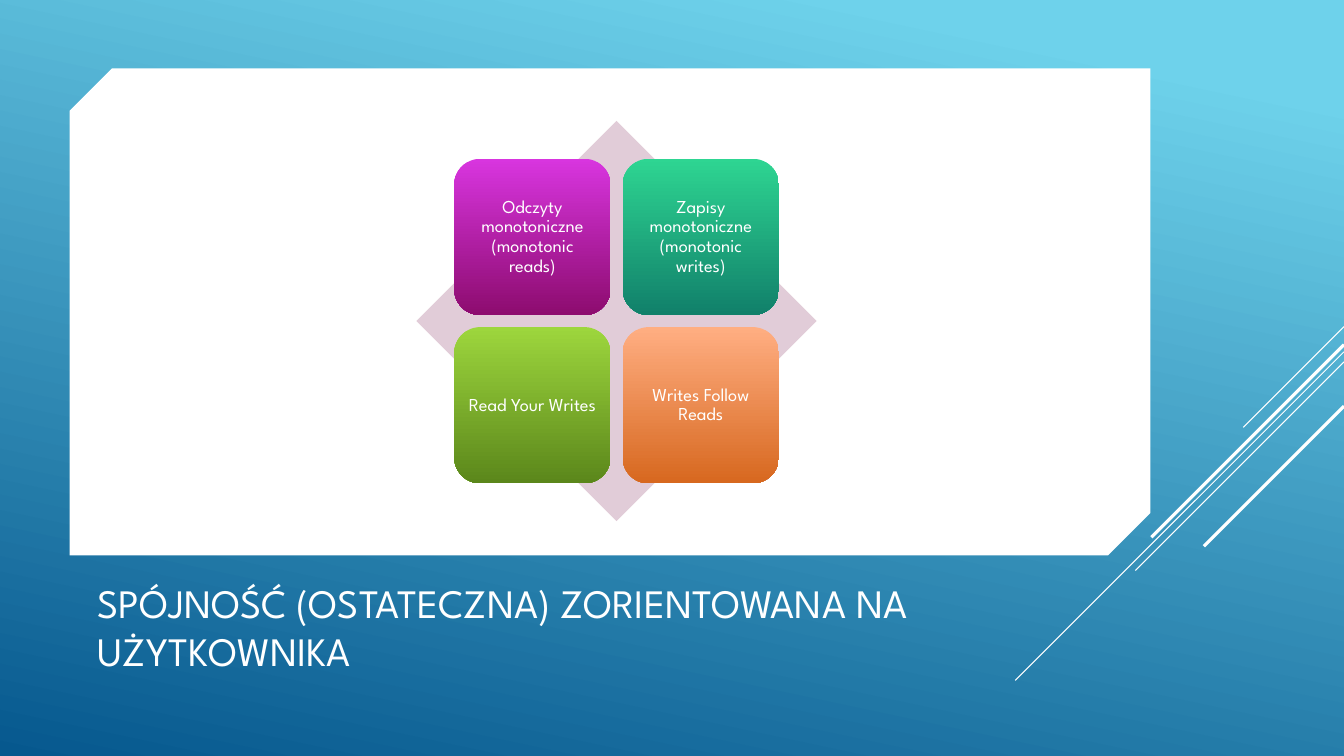
from lxml.etree import SubElement
from pptx import Presentation
from pptx.dml.color import RGBColor
from pptx.enum.shapes import MSO_CONNECTOR, MSO_SHAPE
from pptx.enum.text import MSO_ANCHOR, PP_ALIGN
from pptx.oxml.ns import qn
from pptx.util import Inches, Pt

WIDE, HIGH = 13.33, 7.5
FONT = "League Spartan"
WHITE = "FFFFFF"

# Tiles in reading order: text, top colour, bottom colour
TILES = [
    ("Odczyty monotoniczne (monotonic reads)", "D835DF", "8D0C6F"),
    ("Zapisy monotoniczne (monotonic writes)", "2ED592", "11806A"),
    ("Read Your Writes", "9DD63D", "5B871B"),
    ("Writes Follow Reads", "FFAE82", "D7681F"),
]
# Diagonal streaks: start height on the right edge, run, weight
STREAKS = [(3.24, 1, 0.75), (3.49, 3.26, 0.75), (3.59, 2.07, 0.75),
           (3.42, 1.91, 2.25), (4.03, 1.39, 2.25)]


def color(code):
    return RGBColor.from_string(code)


def add_form(slide, kind, box, fill=None):
    form = slide.shapes.add_shape(kind, *map(Inches, box))
    form.shadow.inherit = False
    form.line.fill.background()
    if fill:
        form.fill.solid()
        form.fill.fore_color.rgb = color(fill)
    return form


def shade(form, first, last, start=0, angle=90):
    form.fill.gradient()
    form.fill.gradient_angle = 360 - angle
    for stop, code, place in zip(form.fill.gradient_stops,
                                 (first, last), (start, 1)):
        stop.color.rgb = color(code)
        stop.position = place


def write(frame, text, size, anchor, align):
    frame.word_wrap = True
    frame.vertical_anchor = anchor
    frame.text = text
    para = frame.paragraphs[0]
    para.alignment = align
    font = para.runs[0].font
    font.name, font.size = FONT, Pt(size)
    font.color.rgb = color(WHITE)
    return para


def add_back(slide, box):
    back = add_form(slide, MSO_SHAPE.RECTANGLE, box)
    shade(back, "6ED2EB", "06588E", 0.1, 102)


def add_title(slide, box):
    title = slide.shapes.add_textbox(*map(Inches, box))
    write(title.text_frame,
          "SPÓJNOŚĆ (OSTATECZNA) ZORIENTOWANA NA UŻYTKOWNIKA",
          28.8, MSO_ANCHOR.BOTTOM, PP_ALIGN.LEFT)


def add_panel(slide, box):
    panel = add_form(slide, MSO_SHAPE.SNIP_2_DIAG_RECTANGLE, box, WHITE)
    panel.adjustments[0] = 0.087
    panel.adjustments[1] = 0


def add_streaks(slide, edge):
    for top, run, weight in STREAKS:
        ends = map(Inches, (edge, top, edge - run, top + run))
        streak = slide.shapes.add_connector(MSO_CONNECTOR.STRAIGHT, *ends)
        streak.line.color.rgb = color(WHITE)
        streak.line.width = Pt(weight)
        SubElement(streak._element.spPr, qn("a:effectLst"))


def add_matrix(slide, box):
    left, top, width, height = box
    add_form(slide, MSO_SHAPE.DIAMOND, box, "E1CCD8")
    # Two by two tiles, centred on the diamond
    side, gap = 1.55, 0.12
    inset = side + gap / 2
    for i, (text, first, last) in enumerate(TILES):
        row, col = divmod(i, 2)
        x = left + width / 2 - inset + col * (side + gap)
        y = top + height / 2 - inset + row * (side + gap)
        tile = add_form(slide, MSO_SHAPE.ROUNDED_RECTANGLE,
                        (x, y, side, side))
        shade(tile, first, last)
        frame = tile.text_frame
        frame.margin_left = frame.margin_right = Inches(0.05)
        frame.margin_top = frame.margin_bottom = Inches(0.05)
        para = write(frame, text, 13, MSO_ANCHOR.MIDDLE, PP_ALIGN.CENTER)
        para.line_spacing = 0.9


def main():
    deck = Presentation()
    deck.slide_width, deck.slide_height = Inches(WIDE), Inches(HIGH)
    slide = deck.slides.add_slide(deck.slide_layouts[6])
    add_back(slide, (0, 0, WIDE, HIGH))
    add_title(slide, (0.87, 5.82, 9.52, 0.92))
    add_panel(slide, (0.69, 0.68, 10.72, 4.83))
    add_streaks(slide, WIDE)
    add_matrix(slide, (4.13, 1.2, 3.97, 3.97))
    deck.save("out.pptx")


if __name__ == "__main__":
    main()
